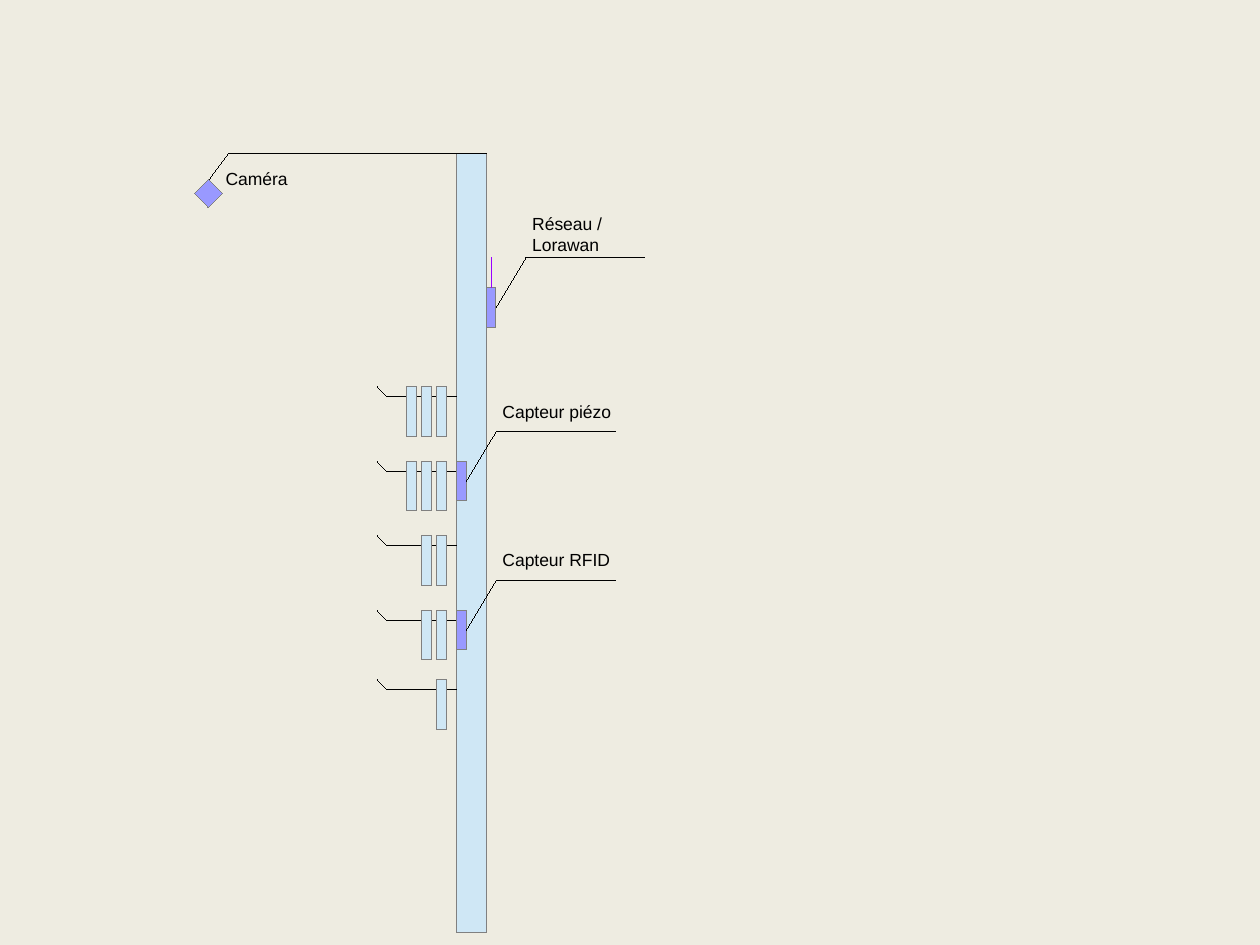
from pptx import Presentation
from pptx.dml.color import RGBColor
from pptx.enum.shapes import MSO_CONNECTOR, MSO_SHAPE
from pptx.enum.text import MSO_AUTO_SIZE
from pptx.oxml.ns import qn
from pptx.util import Cm, Pt
from lxml.etree import SubElement

BACKGROUND = RGBColor(0xEE, 0xEC, 0xE1)
STEEL = RGBColor(0xCF, 0xE7, 0xF5)
DEVICE = RGBColor(0x99, 0x99, 0xFF)
OUTLINE = RGBColor(0x80, 0x80, 0x80)
ANTENNA = RGBColor(0x99, 0x00, 0xFF)
BLACK = RGBColor(0, 0, 0)
HAIRLINE = Pt(0.01)

POLE_LEFT, POLE_TOP, POLE_WIDTH, POLE_HEIGHT = 9.2, 3.1, 0.6, 15.7
POLE_RIGHT = POLE_LEFT + POLE_WIDTH
HOOKS = [(7.8, 3), (9.3, 3), (10.8, 2), (12.3, 2), (13.7, 1)]
DEVICES = [
    (POLE_LEFT, 9.3, ["Capteur piézo"], 0.75),
    (POLE_LEFT, 12.3, ["Capteur RFID"], 0.75),
    (POLE_RIGHT, 5.8, ["Réseau /", "Lorawan"], 1.04),
]


def add_block(slide, left, top, width, height, color):
    """Add a filled rectangle with a grey hairline."""
    block = slide.shapes.add_shape(
        MSO_SHAPE.RECTANGLE, Cm(left), Cm(top), Cm(width), Cm(height))
    block.shadow.inherit = False
    block.fill.solid()
    block.fill.fore_color.rgb = color
    block.line.color.rgb = OUTLINE
    block.line.width = HAIRLINE
    return block


def add_line(slide, start, end, color=BLACK):
    """Add a straight hairline between two points."""
    line = slide.shapes.add_connector(
        MSO_CONNECTOR.STRAIGHT, *(Cm(value) for value in (*start, *end)))
    line.line.color.rgb = color
    line.line.width = HAIRLINE
    SubElement(line._element.spPr, qn("a:effectLst"))
    return line


def add_label(slide, left, top, height, rows):
    """Add a label with one paragraph per row."""
    label = slide.shapes.add_textbox(Cm(left), Cm(top), Cm(2.72), Cm(height))
    frame = label.text_frame
    frame.word_wrap = True
    frame.auto_size = MSO_AUTO_SIZE.SHAPE_TO_FIT_TEXT
    frame.text = "\n".join(rows)
    for paragraph in frame.paragraphs:
        paragraph.font.name = "Arial"
        paragraph.font.size = Pt(10)
        paragraph.font.color.rgb = BLACK


def add_hook(slide, top, bar_count):
    """Add a rod with an upturned tip and its hanging bars."""
    bend = (7.8, top + 0.2)
    add_line(slide, bend, (POLE_LEFT, top + 0.2))
    for position in reversed(range(bar_count)):
        add_block(slide, 8.8 - 0.3 * position, top, 0.2, 1, STEEL)
    add_line(slide, bend, (7.6, top))


def add_camera(slide):
    """Add the camera at the end of its overhead arm."""
    elbow = (4.6, POLE_TOP)
    add_line(slide, (POLE_RIGHT, POLE_TOP), elbow)
    add_line(slide, elbow, (4, 3.9))
    camera = add_block(slide, 4, 3.7, 0.4, 0.4, DEVICE)
    camera.rotation = 135.1
    add_label(slide, 4.3, 3.26, 0.64, ["Caméra"])


def add_device(slide, left, top, rows, label_height):
    """Add a device with its leader line and label."""
    device = add_block(slide, left, top, 0.2, 0.8, DEVICE)
    knee_x, knee_y = left + 0.8, top - 0.6
    add_label(slide, knee_x - 0.12, knee_y - label_height, label_height, rows)
    leader = add_line(slide, (left + 0.2, top + 0.4), (knee_x, knee_y))
    leader.begin_connect(device, 3)
    add_line(slide, (knee_x, knee_y), (knee_x + 2.4, knee_y))
    return device


def main():
    """Build the slide of the equipped pole."""
    presentation = Presentation()
    presentation.slide_width, presentation.slide_height = Cm(25.4), Cm(19.05)
    slide = presentation.slides.add_slide(presentation.slide_layouts[6])
    slide.background.fill.solid()
    slide.background.fill.fore_color.rgb = BACKGROUND

    add_block(slide, POLE_LEFT, POLE_TOP, POLE_WIDTH, POLE_HEIGHT, STEEL)
    for top, bar_count in HOOKS:
        add_hook(slide, top, bar_count)
    add_camera(slide)
    for left, top, rows, label_height in DEVICES:
        device = add_device(slide, left, top, rows, label_height)
    antenna = add_line(slide, (left + 0.1, top), (left + 0.1, top - 0.6), ANTENNA)
    antenna.begin_connect(device, 0)

    presentation.save("out.pptx")


if __name__ == "__main__":
    main()
